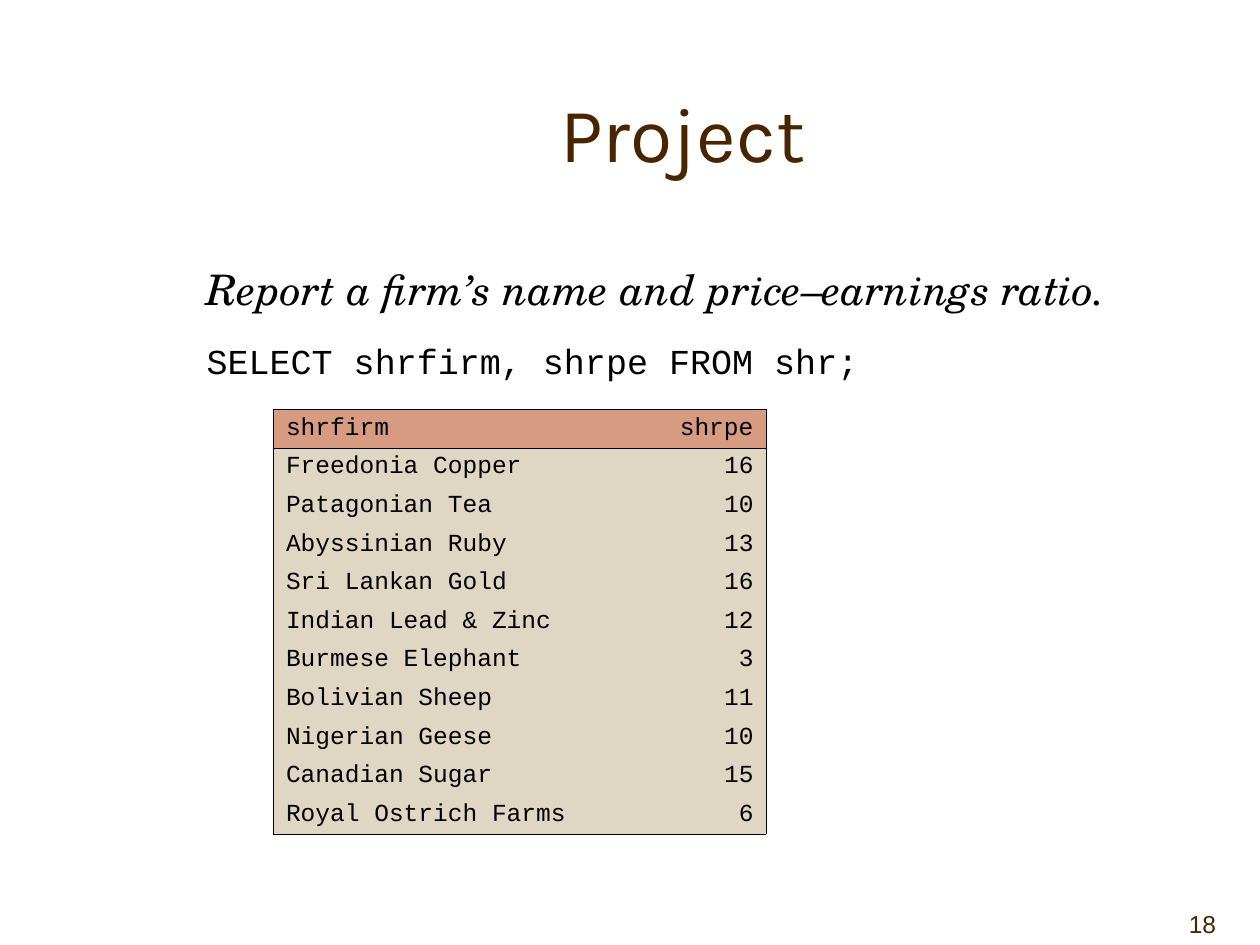
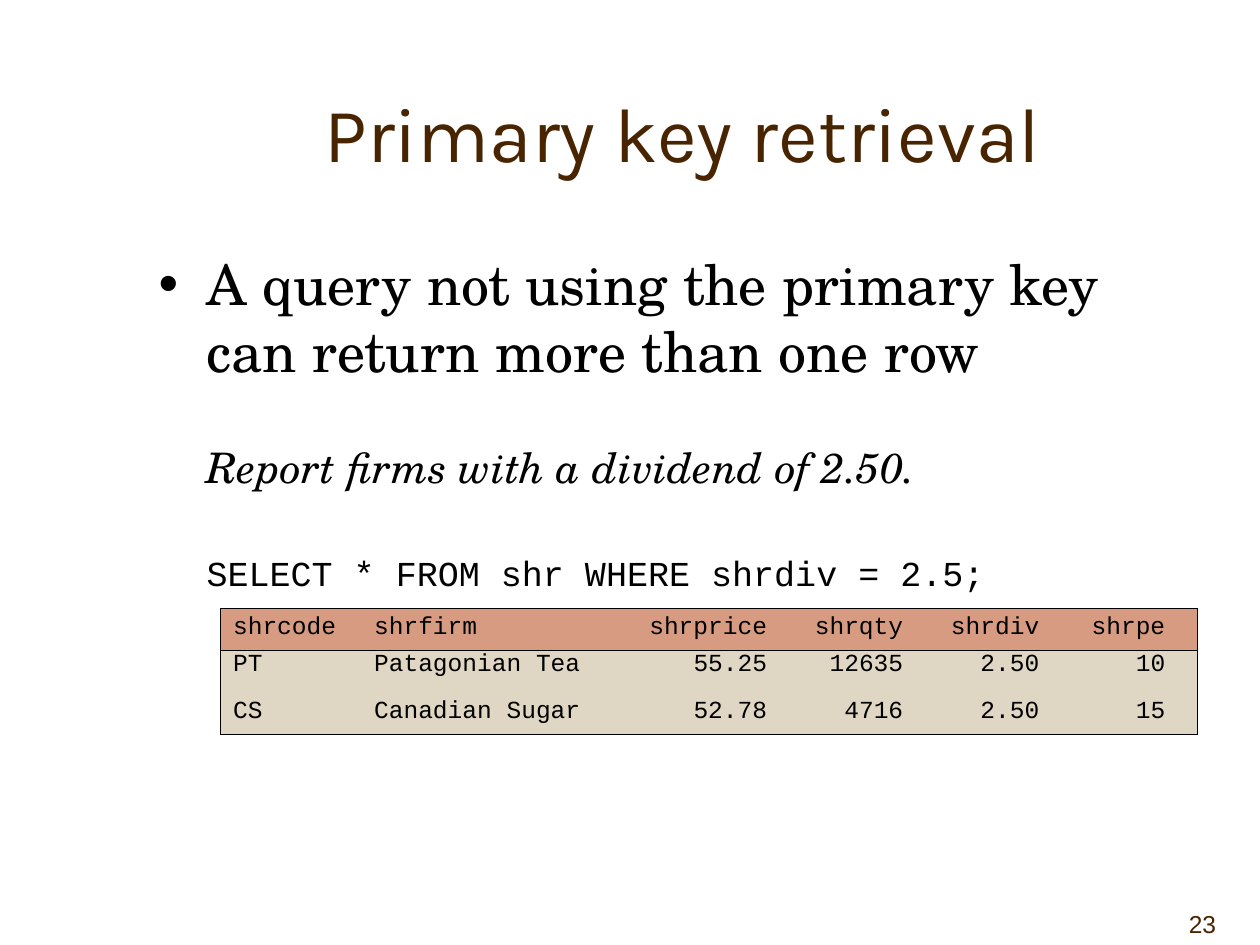
from lxml.etree import SubElement
from pptx import Presentation
from pptx.dml.color import RGBColor
from pptx.enum.text import MSO_ANCHOR as Anchor, MSO_AUTO_SIZE as AutoSize, PP_ALIGN as Align
from pptx.oxml.ns import qn
from pptx.util import Inches, Pt

BROWN, BLACK, HEADER_FILL, ROW_FILL = "482400", "000000", "D69B80", "DFD6C3"
TITLE_FONT, BODY_FONT, CODE_FONT, NUMBER_FONT = "Karla", "TeX Gyre Schola", "Courier New", "Arial"
BORDER_WIDTH = Pt(0.45)
HANGING_INDENT = 0.38

BULLET = dict(font=BODY_FONT, size=32, bullet="•")
QUESTION = dict(font=BODY_FONT, size=24, italic=True)
QUERY = dict(font=CODE_FONT, size=20)

SLIDES = [
    dict(
        title="Project",
        number="18",
        body_height=4.5,
        body_inset=0.16,
        body=[
            ("Report a firm’s name and price–earnings ratio.", QUESTION, 0),
            ("SELECT shrfirm, shrpe FROM shr;", QUERY, 15),
        ],
        table=dict(
            place=(2.17, 3.25), columns=(2.91, 1), height=3.37,
            text_columns=1, number_inset=0.1, spacing={},
            rows=[
                ("shrfirm", "shrpe"),
                ("Freedonia Copper", "16"),
                ("Patagonian Tea", "10"),
                ("Abyssinian Ruby", "13"),
                ("Sri Lankan Gold", "16"),
                ("Indian Lead & Zinc", "12"),
                ("Burmese Elephant", "3"),
                ("Bolivian Sheep", "11"),
                ("Nigerian Geese", "10"),
                ("Canadian Sugar", "15"),
                ("Royal Ostrich Farms", "6"),
            ],
        ),
    ),
    dict(
        title="Primary key retrieval",
        number="23",
        body_height=4.32,
        body_inset=0.05,
        body=[
            ("A query not using the primary key can return more than one row", BULLET, 0),
            ("Report firms with a dividend of 2.50.", QUESTION, 33),
            ("SELECT * FROM shr WHERE shrdiv = 2.5;", QUERY, 34),
        ],
        table=dict(
            place=(1.75, 4.83), columns=(1.12, 2.05, 1.42, 1.08, 1.08, 1), height=1,
            text_columns=2, number_inset=0.25, spacing={1: 0.64},
            rows=[
                ("shrcode", "shrfirm", "shrprice", "shrqty", "shrdiv", "shrpe"),
                ("PT", "Patagonian Tea", "55.25", "12635", "2.50", "10"),
                ("CS", "Canadian Sugar", "52.78", "4716", "2.50", "15"),
            ],
        ),
    ),
]


def rgb(color):
    return RGBColor.from_string(color)


def write(para, text, font, size, color=BLACK, italic=False, align=Align.LEFT,
          before=0, spacing=None, bullet=None):
    para.alignment = align
    para.space_before = Pt(before)
    if spacing:
        para.line_spacing = spacing
    if bullet:
        SubElement(para._p.get_or_add_pPr(), qn("a:buChar"), char=bullet)
    span = para.add_run()
    span.text = text
    span.font.name = font
    span.font.size = Pt(size)
    span.font.italic = italic
    span.font.color.rgb = rgb(color)


def place(shape, left, top, width, height, anchor):
    shape.left, shape.top = Inches(left), Inches(top)
    shape.width, shape.height = Inches(width), Inches(height)
    frame = shape.text_frame
    frame.word_wrap = True
    frame.auto_size = AutoSize.NONE
    frame.vertical_anchor = anchor
    return frame


def add_title(page, title):
    frame = place(page.shapes.title, 1.17, 0.42, 8.5, 1.25, Anchor.MIDDLE)
    write(frame.paragraphs[0], title, TITLE_FONT, 44, BROWN, align=Align.CENTER)


def add_body(page, lines, height, inset):
    frame = place(page.placeholders[1], 1.16, 1.93, 8.5, height, Anchor.TOP)
    frame.margin_top = Inches(inset)
    for index, (text, style, before) in enumerate(lines):
        para = frame.add_paragraph() if index else frame.paragraphs[0]
        hanging = HANGING_INDENT if "bullet" in style else 0
        properties = para._p.get_or_add_pPr()
        properties.set("marL", str(Inches(HANGING_INDENT)))
        properties.set("indent", str(-Inches(hanging)))
        if not hanging:
            SubElement(properties, qn("a:buNone"))
        write(para, text, before=before, **style)


def set_borders(cell, sides):
    """Draw the given sides (of L, R, T, B) and clear the others."""
    properties = cell._tc.get_or_add_tcPr()
    for side in "LRTB":
        line = SubElement(properties, qn(f"a:ln{side}"), w=str(BORDER_WIDTH))
        if side in sides:
            fill = SubElement(line, qn("a:solidFill"))
            SubElement(fill, qn("a:srgbClr"), val=BLACK)
        else:
            SubElement(line, qn("a:noFill"))


def add_result_table(page, place, columns, height, text_columns, number_inset, spacing, rows):
    left, top = place
    last_row, last_column = len(rows) - 1, len(columns) - 1
    table = page.shapes.add_table(
        len(rows), len(columns), Inches(left), Inches(top), Inches(sum(columns)), Inches(height)
    ).table
    table.first_row = table.horz_banding = False
    for column, width in zip(table.columns, columns):
        column.width = Inches(width)
    for r, values in enumerate(rows):
        table.rows[r].height = Inches(height / len(rows))
        for c, value in enumerate(values):
            cell = table.cell(r, c)
            edges = {"L": c == 0, "R": c == last_column, "T": r <= 1, "B": r in (0, last_row)}
            set_borders(cell, [side for side, drawn in edges.items() if drawn])
            cell.fill.solid()
            cell.fill.fore_color.rgb = rgb(ROW_FILL if r else HEADER_FILL)
            numeric = c >= text_columns
            cell.margin_left = Inches(0.1)
            cell.margin_right = Inches(number_inset if numeric else 0.1)
            write(cell.text_frame.paragraphs[0], value, CODE_FONT, 14,
                  align=Align.RIGHT if numeric else Align.LEFT, spacing=spacing.get(r, 0.88))


def add_page_number(page, number):
    box = page.shapes.add_textbox(0, 0, 0, 0)
    frame = place(box, 8.5, 7, 1.25, 0.5, Anchor.BOTTOM)
    write(frame.paragraphs[0], number, NUMBER_FONT, 14, BROWN, align=Align.RIGHT)


def main():
    deck = Presentation()
    deck.slide_width, deck.slide_height = Inches(10), Inches(7.5)
    for content in SLIDES:
        page = deck.slides.add_slide(deck.slide_layouts[1])
        add_title(page, content["title"])
        add_body(page, content["body"], content["body_height"], content["body_inset"])
        add_result_table(page, **content["table"])
        add_page_number(page, content["number"])
    deck.save("out.pptx")


if __name__ == "__main__":
    main()
